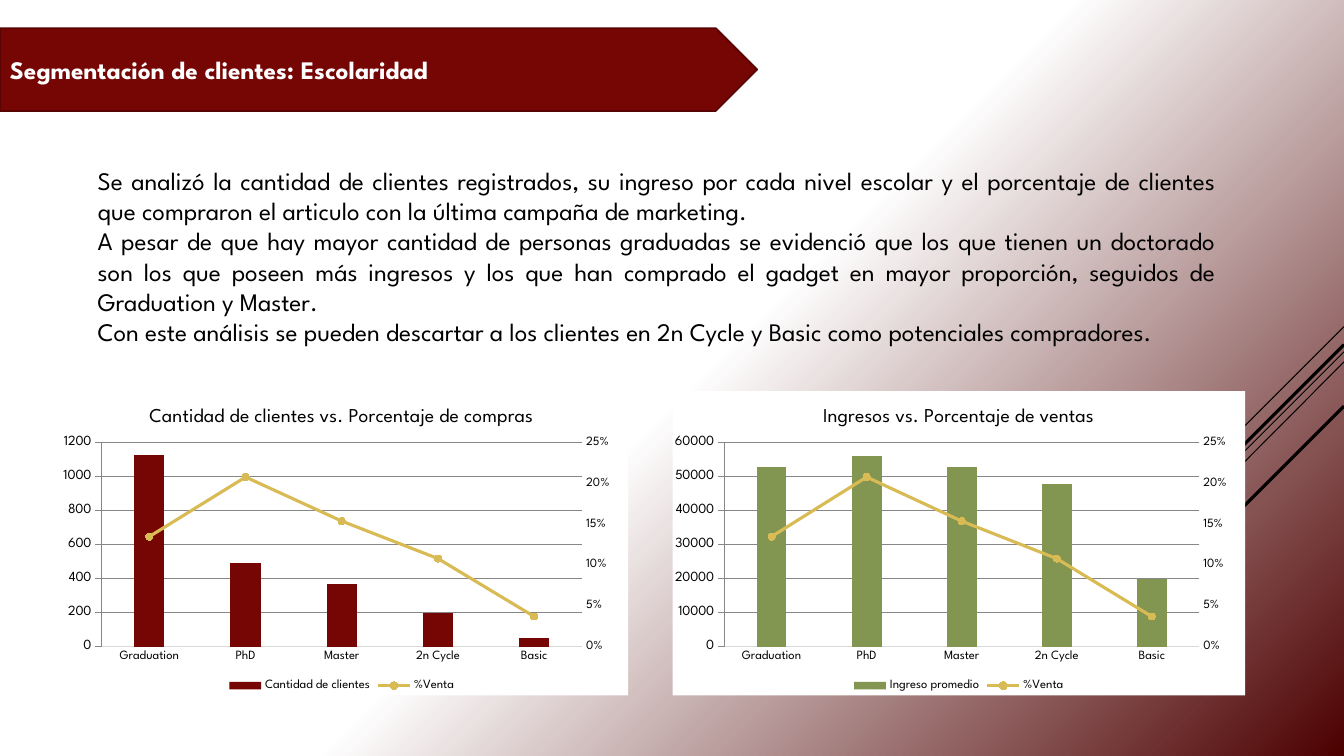
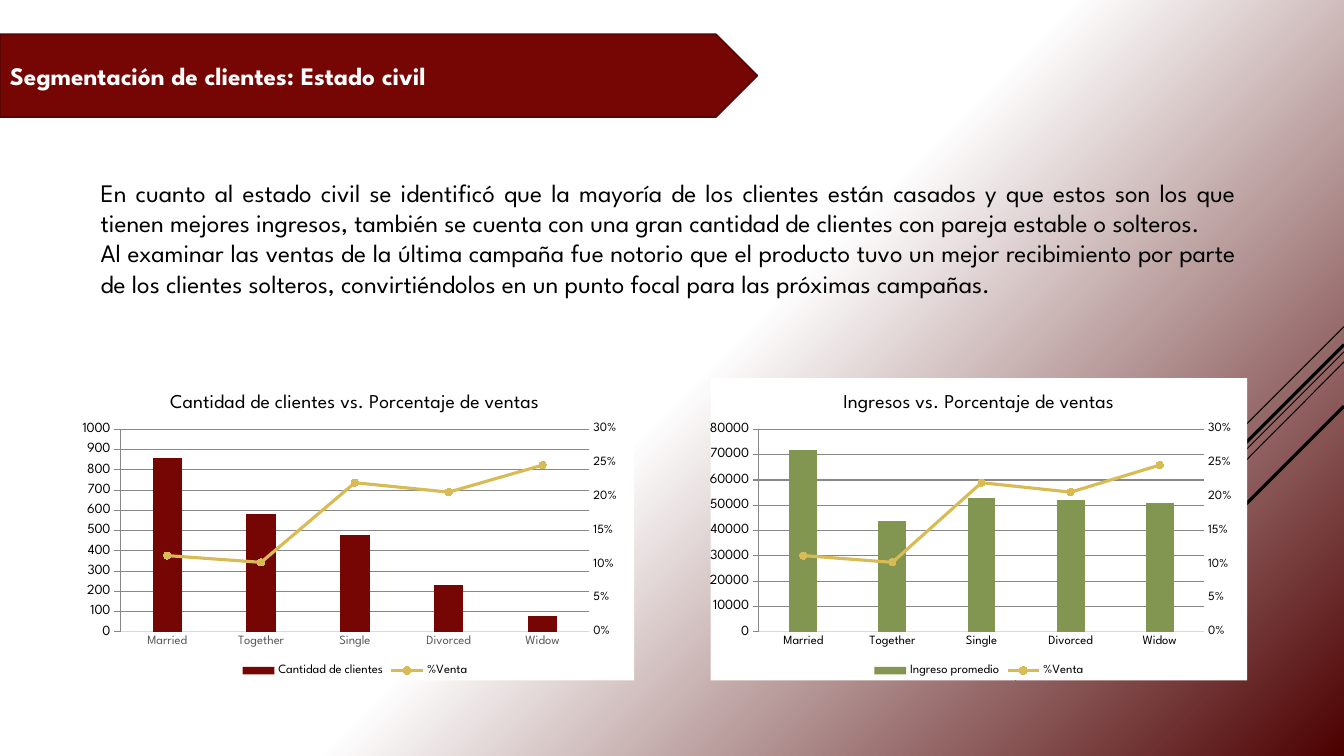
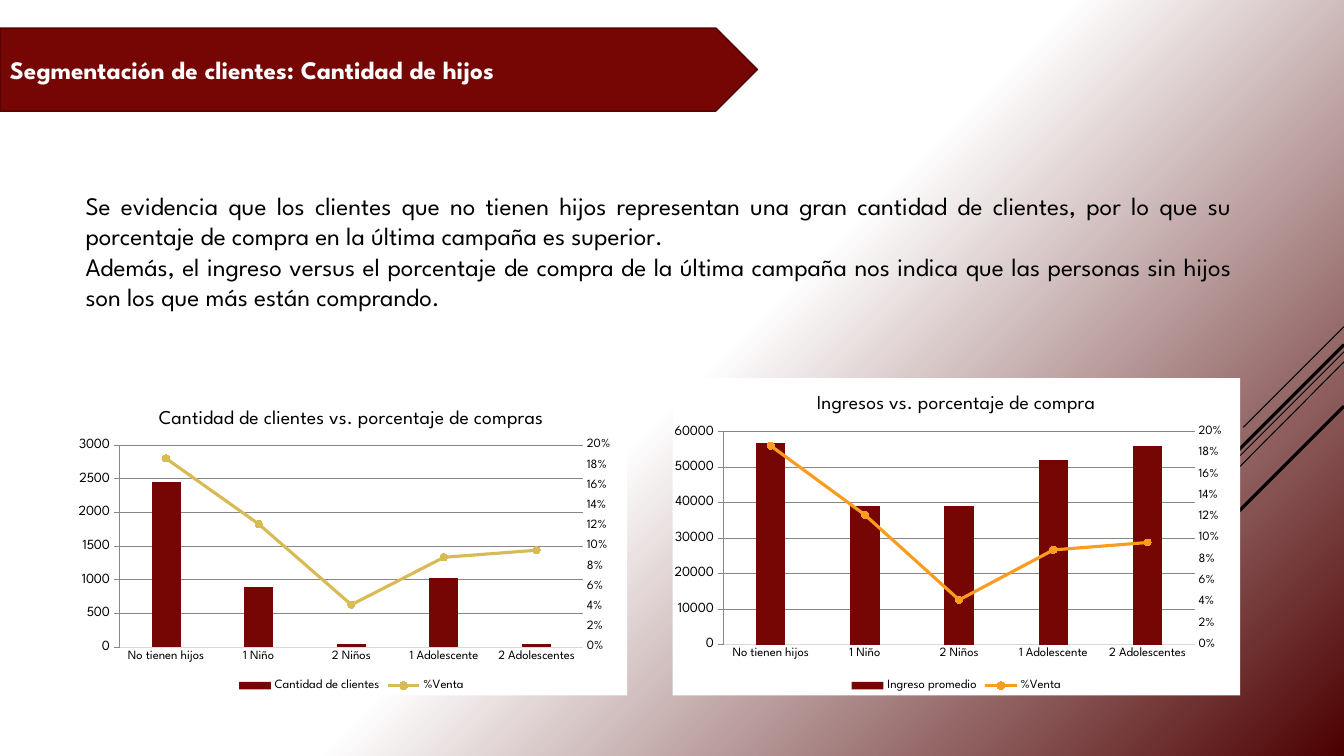
import dataclasses

import pptx
import pptx.chart.axis
import pptx.chart.data
import pptx.dml.color
import pptx.enum.chart
import pptx.enum.shapes
import pptx.enum.text
import pptx.oxml
import pptx.oxml.ns
import pptx.util

Inches = pptx.util.Inches
Pt = pptx.util.Pt
qn = pptx.oxml.ns.qn
NS = pptx.oxml.ns.nsdecls("c", "a")
KIND = pptx.enum.chart.XL_CHART_TYPE
TICK = pptx.enum.chart.XL_TICK_MARK


@dataclasses.dataclass(frozen=True)
class Theme:
    font: str = "League Spartan"
    ink: str = "000000"
    paper: str = "FFFFFF"
    wine: str = "760603"
    edge: str = "570402"
    deep: str = "4C0000"
    green: str = "829551"
    gold: str = "D9BB55"
    amber: str = "FA9C1F"
    grid: str = "D9D9D9"
    gray: str = "595959"
    body: int = 18
    head: int = 14
    base: int = 10
    small: int = 9


T = Theme()

# Diagonal strokes at the right edge: start y, end x, end y, weight
RAYS = [
    (3.24, 12.33, 4.24, 0.75),
    (3.49, 10.07, 6.75, 0.75),
    (3.59, 11.26, 5.67, 0.75),
    (3.42, 11.42, 5.33, 2.25),
    (4.03, 11.94, 5.42, 2.25),
]


def rgb(code):
    return pptx.dml.color.RGBColor.from_string(code)


def paint(fill, code):
    fill.solid()
    fill.fore_color.rgb = rgb(code)


def stroke(line, code, width):
    paint(line.fill, code)
    line.width = Pt(width)


def style(font, size, color=T.ink, bold=False):
    font.name, font.size, font.bold = T.font, Pt(size), bold
    font.color.rgb = rgb(color)


def backdrop(slide):
    # Gradient from white to wine
    fill = slide.background.fill
    fill.gradient()
    fill.gradient_angle = 315
    for stop, (place, code) in zip(fill.gradient_stops, [(0.51, T.paper), (1, T.deep)]):
        stop.position = place
        stop.color.rgb = rgb(code)
    # Strokes
    for top, x, y, width in RAYS:
        ray = slide.shapes.add_connector(
            pptx.enum.shapes.MSO_CONNECTOR.STRAIGHT,
            Inches(13.33), Inches(top), Inches(x), Inches(y))
        stroke(ray.line, T.ink, width)
        ray.element.spPr.append(pptx.oxml.parse_xml(f"<a:effectLst {NS}/>"))


def banner(slide, text, top):
    band = slide.shapes.add_shape(
        pptx.enum.shapes.MSO_SHAPE.PENTAGON,
        Inches(0), Inches(top), Inches(7.51), Inches(0.82))
    band.shadow.inherit = False
    paint(band.fill, T.wine)
    stroke(band.line, T.edge, 1.25)
    frame = band.text_frame
    frame.vertical_anchor = pptx.enum.text.MSO_ANCHOR.MIDDLE
    frame.text = text
    para = frame.paragraphs[0]
    para.alignment = pptx.enum.text.PP_ALIGN.LEFT
    style(para.font, T.body, T.paper, True)


def prose(slide, box, texts):
    frame = slide.shapes.add_textbox(*map(Inches, box)).text_frame
    frame.word_wrap = True
    frame.text = "\n".join(texts)
    for para in frame.paragraphs:
        para.alignment = pptx.enum.text.PP_ALIGN.JUSTIFY
        style(para.font, T.body)


def scale(axis, top, step):
    axis.minimum_scale, axis.maximum_scale, axis.major_unit = 0, top, step
    axis.format.line.fill.background()
    style(axis.tick_labels.font, T.small)


def split(area):
    """Move the second series to a line plot on a right axis; return that axis."""
    bars = area.find(qn("c:barChart"))
    ser = bars.findall(qn("c:ser"))[1]
    for flag in ser.findall(qn("c:invertIfNegative")):
        ser.remove(flag)
    line = pptx.oxml.parse_xml(
        f'<c:lineChart {NS}><c:grouping val="standard"/><c:varyColors val="0"/>'
        '<c:marker val="1"/><c:axId val="501"/><c:axId val="502"/></c:lineChart>')
    line.insert(2, ser)
    bars.addnext(line)
    axes = [pptx.oxml.parse_xml(
        f'<c:{tag} {NS}><c:axId val="{own}"/>'
        '<c:scaling><c:orientation val="minMax"/></c:scaling>'
        f'<c:delete val="{gone}"/><c:axPos val="{side}"/>'
        '<c:majorTickMark val="out"/><c:minorTickMark val="none"/>'
        '<c:tickLblPos val="nextTo"/>'
        f'<c:crossAx val="{other}"/><c:crosses val="{cross}"/></c:{tag}>')
        for tag, own, gone, side, other, cross in [
            ("valAx", 502, 0, "r", 501, "max"),
            ("catAx", 501, 1, "b", 502, "autoZero")]]
    last = area.findall(qn("c:valAx"))[-1]
    for axis in reversed(axes):
        last.addnext(axis)
    return pptx.chart.axis.ValueAxis(axes[0])


def frame(chart, left, width):
    """White ground, and the plot's place as fractions of the chart."""
    chart.element.find(qn("c:chart")).addnext(pptx.oxml.parse_xml(
        f'<c:spPr {NS}><a:solidFill><a:srgbClr val="{T.paper}"/></a:solidFill>'
        '<a:ln><a:noFill/></a:ln></c:spPr>'))
    area = chart.element.find(".//" + qn("c:plotArea"))
    for old in area.findall(qn("c:layout")):
        area.remove(old)
    spots = "".join(f'<c:{key} val="{val}"/>' for key, val in [
        ("layoutTarget", "inner"), ("xMode", "edge"), ("yMode", "edge"),
        ("x", left), ("y", 0.17), ("w", width), ("h", 0.67)])
    area.insert(0, pptx.oxml.parse_xml(
        f"<c:layout {NS}><c:manualLayout>{spots}</c:manualLayout></c:layout>"))
    return area


def combo(slide, box, cats, rates, right, title, name, vals, top, step,
          stack=False, color=T.green, mark=T.gold, label=T.ink):
    data = pptx.chart.data.CategoryChartData()
    data.categories = cats
    data.add_series(name, vals, "General")
    data.add_series("%Venta", rates, "0%")
    kind = KIND.COLUMN_STACKED if stack else KIND.COLUMN_CLUSTERED
    chart = slide.shapes.add_chart(kind, *map(Inches, box), data).chart
    style(chart.font, T.base)
    area = frame(chart, *((0.08, 0.84) if stack else (0.09, 0.83)))
    side = split(area)

    # Title and legend
    chart.has_title = True
    chart.chart_title.text_frame.text = title
    style(chart.chart_title.text_frame.paragraphs[0].font, T.head)
    chart.has_legend = True
    chart.legend.position = pptx.enum.chart.XL_LEGEND_POSITION.BOTTOM
    chart.legend.include_in_layout = False
    style(chart.legend.font, T.small)

    # Axes
    base = chart.category_axis
    base.major_tick_mark = TICK.NONE
    stroke(base.format.line, T.grid, 0.75)
    style(base.tick_labels.font, T.small, label)
    axis = chart.value_axis
    axis.major_tick_mark = TICK.NONE
    axis.has_major_gridlines = True
    stroke(axis.major_gridlines.format.line, T.grid, 0.75)
    scale(axis, top, step)
    scale(side, *right)
    side.tick_labels.number_format = "0%"
    side.tick_labels.number_format_is_linked = False

    # Bars and line
    bars, line = chart.plots
    bars.vary_by_categories = False
    bars.gap_width = 219
    bars.overlap = 100 if stack else 0
    paint(bars.series[0].format.fill, color)
    trend = line.series[0]
    trend.smooth = False
    stroke(trend.format.line, mark, 2.25)
    trend.marker.style = pptx.enum.chart.XL_MARKER_STYLE.CIRCLE
    trend.marker.size = 5
    paint(trend.marker.format.fill, mark)
    stroke(trend.marker.format.line, mark, 0.75)


def count(title, vals, top, step, **more):
    return dict(title=title, name="Cantidad de clientes", vals=vals, top=top,
                step=step, stack=True, color=T.wine, **more)


def income(title, vals, top, **more):
    return dict(title=title, name="Ingreso promedio", vals=vals, top=top,
                step=10000, **more)


PAGES = [
    dict(
        topic="Escolaridad", top=0.28, area=(0.87, 1.59, 11.29, 2.22),
        texts=[
            "Se analizó la cantidad de clientes registrados, su ingreso por cada nivel escolar y el porcentaje de clientes que compraron el articulo con la última campaña de marketing.",
            "A pesar de que hay mayor cantidad de personas graduadas se evidenció que los que tienen un doctorado son los que poseen más ingresos y los que han comprado el gadget en mayor proporción, seguidos de Graduation y Master.",
            "Con este análisis se pueden descartar a los clientes en 2n Cycle y Basic como potenciales compradores.",
        ],
        cats=["Graduation", "PhD", "Master", "2n Cycle", "Basic"],
        rates=[0.135, 0.208, 0.154, 0.108, 0.037], right=(0.25, 0.05),
        charts=[
            ((0.55, 3.88, 5.68, 3.02),
             count("Cantidad de clientes vs. Porcentaje de compras",
                   [1130, 490, 370, 200, 50], 1200, 200)),
            ((6.67, 3.88, 5.68, 3.02),
             income("Ingresos vs. Porcentaje de ventas",
                    [53000, 56000, 53000, 48000, 20000], 60000)),
        ]),
    dict(
        topic="Estado civil", top=0.34, area=(0.9, 1.71, 11.46, 1.92),
        texts=[
            "En cuanto al estado civil se identificó que la mayoría de los clientes están casados y que estos son los que tienen mejores ingresos, también se cuenta con una gran cantidad de clientes con pareja estable o solteros.",
            "Al examinar las ventas de la última campaña fue notorio que el producto tuvo un mejor recibimiento por parte de los clientes solteros, convirtiéndolos en un punto focal para las próximas campañas.",
        ],
        cats=["Married", "Together", "Single", "Divorced", "Widow"],
        rates=[0.113, 0.103, 0.221, 0.207, 0.247], right=(0.3, 0.05),
        charts=[
            ((0.75, 3.75, 5.54, 3),
             count("Cantidad de clientes vs. Porcentaje de ventas",
                   [860, 580, 480, 230, 80], 1000, 100, label=T.gray)),
            ((7.04, 3.75, 5.33, 3),
             income("Ingresos vs. Porcentaje de ventas",
                    [72000, 44000, 53000, 52000, 51000], 80000)),
        ]),
    dict(
        topic="Cantidad de hijos", top=0.28, area=(0.75, 1.84, 11.57, 1.31),
        texts=[
            "Se evidencia que los clientes que no tienen hijos representan una gran cantidad de clientes, por lo que su porcentaje de compra en la última campaña es superior.",
            "Además, el ingreso versus el porcentaje de compra de la última campaña nos indica que las personas sin hijos son los que más están comprando.",
        ],
        cats=["No tienen hijos", "1 Niño", "2 Niños", "1 Adolescente", "2 Adolescentes"],
        rates=[0.187, 0.122, 0.042, 0.089, 0.096], right=(0.2, 0.02),
        charts=[
            ((0.75, 3.91, 5.47, 2.99),
             count("Cantidad de clientes vs. porcentaje de compras",
                   [2450, 900, 50, 1030, 50], 3000, 500)),
            ((6.67, 3.75, 5.63, 3.15),
             income("Ingresos vs. porcentaje de compra",
                    [57000, 39000, 39000, 52000, 56000], 60000,
                    color=T.wine, mark=T.amber)),
        ]),
]


def build(deck, page):
    slide = deck.slides.add_slide(deck.slide_layouts[6])
    backdrop(slide)
    for box, chart in page["charts"]:
        combo(slide, box, page["cats"], page["rates"], page["right"], **chart)
    banner(slide, "Segmentación de clientes: " + page["topic"], page["top"])
    prose(slide, page["area"], page["texts"])


def main():
    deck = pptx.Presentation()
    deck.slide_width, deck.slide_height = Inches(13.33), Inches(7.5)
    for page in PAGES:
        build(deck, page)
    deck.save("out.pptx")


if __name__ == "__main__":
    main()
